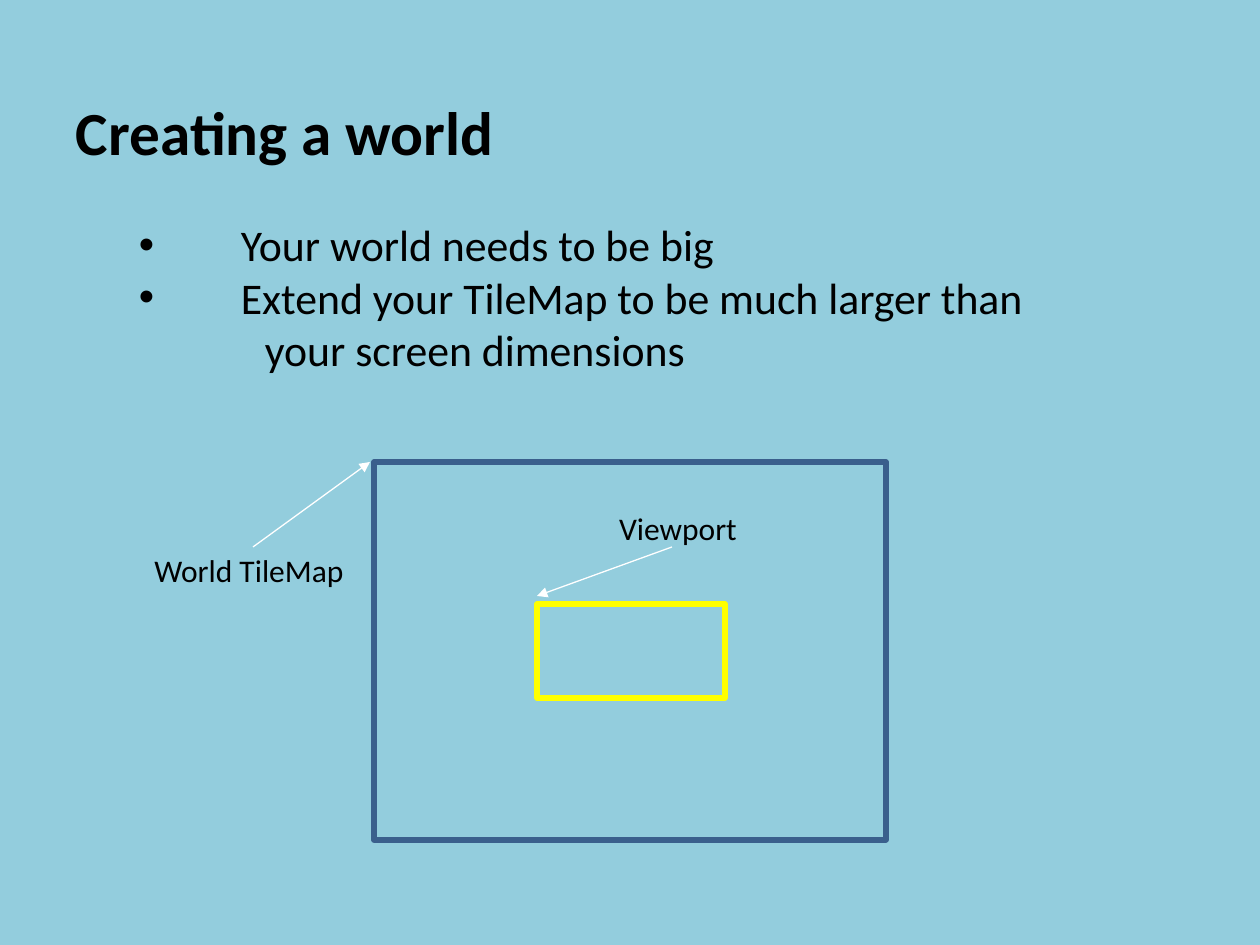
from lxml.etree import SubElement
from pptx import Presentation
from pptx.dml.color import RGBColor
from pptx.enum.shapes import MSO_CONNECTOR, MSO_SHAPE
from pptx.enum.text import MSO_ANCHOR, PP_ALIGN
from pptx.oxml.ns import qn
from pptx.util import Emu, Pt

EMU_PER_PX = 914400 / 126
FONT = "Calibri"
BLACK = "000000"
INSET = 13


def px(length):
    return Emu(round(length * EMU_PER_PX))


def color(hex_string):
    return RGBColor.from_string(hex_string)


def write_text(shape, lines, size, bold=False, align=PP_ALIGN.LEFT, anchor=MSO_ANCHOR.TOP):
    """Fill the shape with one paragraph per line and return the paragraphs."""
    frame = shape.text_frame
    frame.word_wrap = True
    frame.vertical_anchor = anchor
    frame.margin_left = frame.margin_right = px(INSET)
    frame.margin_top = frame.margin_bottom = 0
    frame.text = "\n".join(lines)
    for paragraph in frame.paragraphs:
        paragraph.alignment = align
        font = paragraph.runs[0].font
        font.name, font.size, font.bold = FONT, Pt(size), bold
        font.color.rgb = color(BLACK)
    return frame.paragraphs


def indent(paragraph, margin, bullet=None):
    """Set the left margin; a bullet hangs at the text box edge."""
    properties = paragraph._p.get_or_add_pPr()
    properties.set("marL", str(px(margin)))
    properties.set("indent", str(px(-margin) if bullet else 0))
    if bullet:
        SubElement(properties, qn("a:buFont"), typeface="Arial")
        SubElement(properties, qn("a:buChar"), char=bullet)


def add_title(slide, text):
    title = slide.shapes.title
    title.left, title.top, title.width, title.height = px(63), px(93), px(1134), px(76)
    write_text(title, [text], 35, bold=True, anchor=MSO_ANCHOR.MIDDLE)


def add_points(slide):
    box = slide.shapes.add_textbox(px(126), px(218), px(1134), px(160))
    lines = [
        "Your world needs to be big",
        "Extend your TileMap to be much larger than",
        "your screen dimensions",
    ]
    *points, continuation = write_text(box, lines, 25)
    for point in points:
        indent(point, 102, bullet="•")
    indent(continuation, 126)


def add_outline(slide, left, top, width, height, line_color):
    outline = slide.shapes.add_shape(
        MSO_SHAPE.RECTANGLE, px(left), px(top), px(width), px(height)
    )
    outline.shadow.inherit = False
    outline.fill.background()
    outline.line.color.rgb = color(line_color)
    outline.line.width = Pt(3)


def add_label(slide, text, left, top):
    box = slide.shapes.add_textbox(px(left), px(top), px(282), px(50))
    write_text(box, [text], 18, align=PP_ALIGN.CENTER, anchor=MSO_ANCHOR.MIDDLE)


def add_arrow(slide, start, end):
    arrow = slide.shapes.add_connector(
        MSO_CONNECTOR.STRAIGHT, *map(px, start), *map(px, end)
    )
    arrow.line.color.rgb = color("FFFFFF")
    arrow.line.width = Pt(0.75)
    SubElement(arrow.line._get_or_add_ln(), qn("a:tailEnd"), type="triangle")
    SubElement(arrow._element.spPr, qn("a:effectLst"))


def main():
    presentation = Presentation()
    presentation.slide_width, presentation.slide_height = px(1260), px(945)
    slide = presentation.slides.add_slide(presentation.slide_layouts[5])
    slide.background.fill.solid()
    slide.background.fill.fore_color.rgb = color("93CDDD")

    add_title(slide, "Creating a world")
    add_points(slide)
    add_outline(slide, 374, 462, 512, 378, "3A5F8C")
    add_outline(slide, 537, 604, 188, 94, "FFFF00")
    add_arrow(slide, (672, 547), (537, 596))
    add_label(slide, "Viewport", 537, 503)
    add_arrow(slide, (253, 547), (370, 462))
    add_label(slide, "World TileMap", 108, 545)

    presentation.save("out.pptx")


if __name__ == "__main__":
    main()
